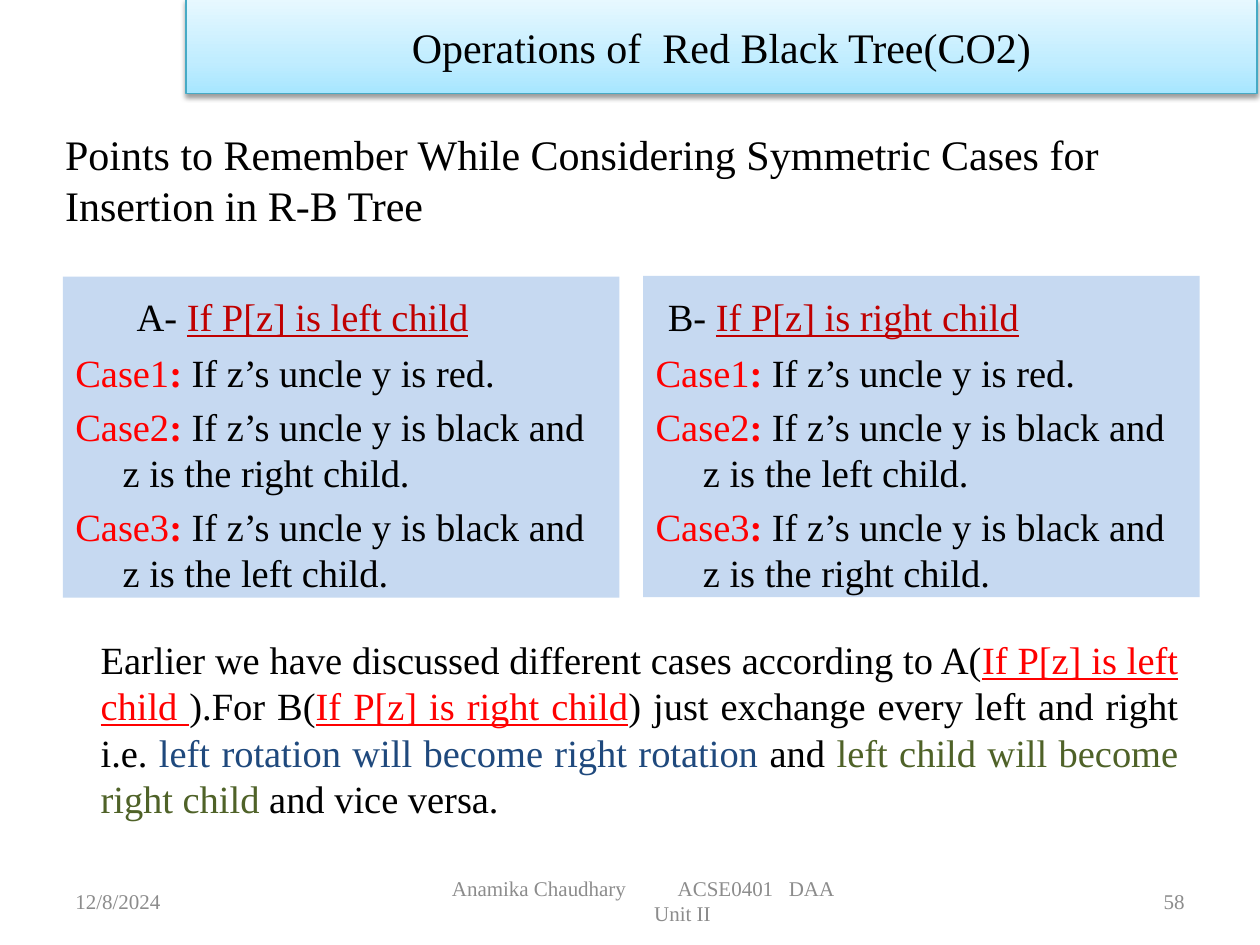
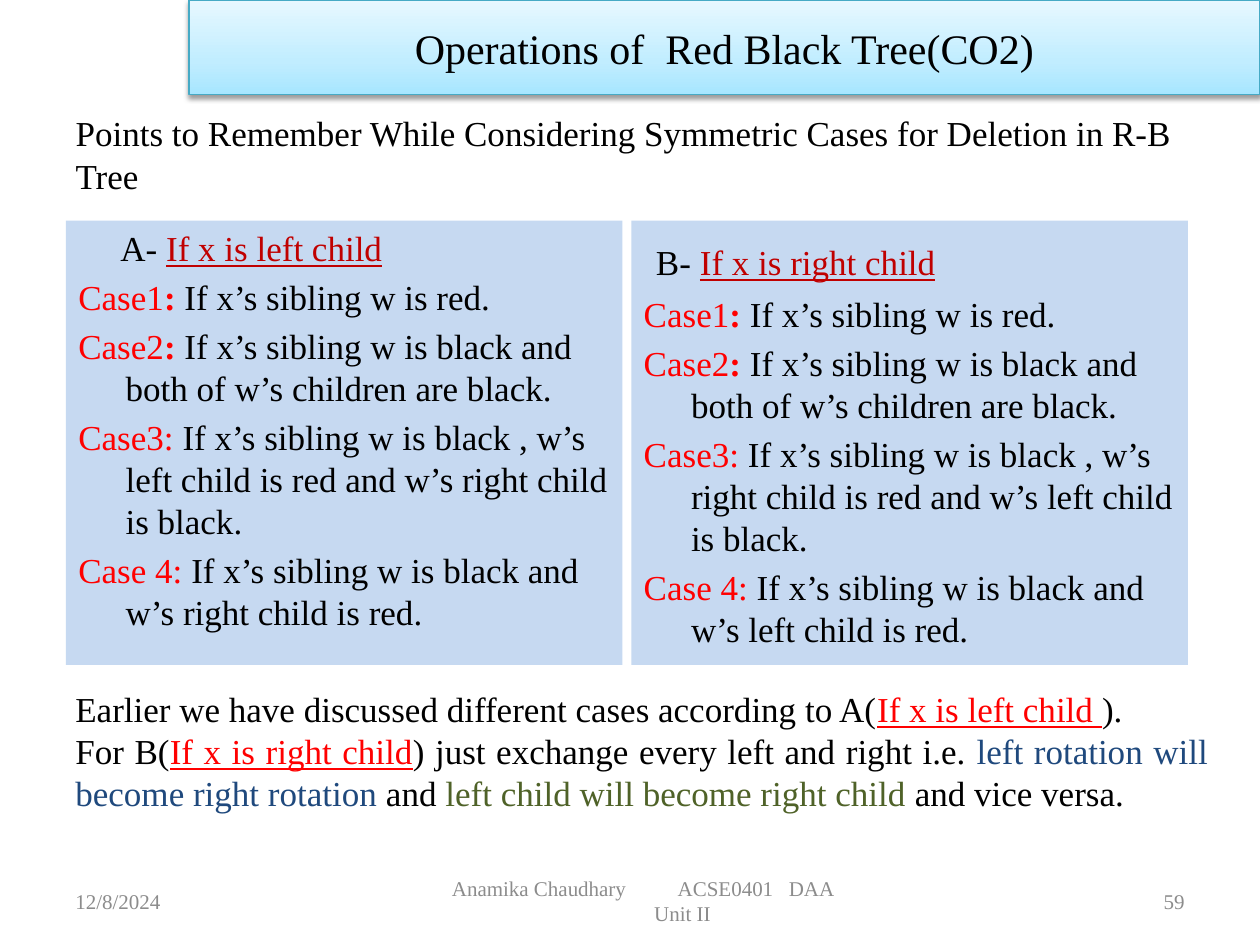
"""Build two slides on the symmetric cases of red-black tree operations."""
from dataclasses import dataclass
from typing import NamedTuple

from pptx import Presentation
from pptx.dml.color import RGBColor
from pptx.enum.shapes import MSO_SHAPE
from pptx.enum.text import MSO_ANCHOR, MSO_AUTO_SIZE, PP_ALIGN
from pptx.oxml import parse_xml
from pptx.oxml.ns import nsdecls, qn
from pptx.util import Pt


@dataclass(frozen=True)
class Theme:
    font: str = "Times New Roman"
    text: str = "000000"
    panel: str = "C6D9F1"
    heading: str = "C00000"
    accent: str = "FF0000"
    rotation: str = "1F497D"
    child: str = "4F6228"
    footer: str = "8C8C8C"
    band_line: str = "46AAC5"
    band_stops: tuple = ((0, "A7E6FF"), (35, "C1EDFF"), (100, "E7F8FF"))
    band_size: float = 24
    footer_size: float = 12
    inset: float = 7.2
    hanging: float = 27


THEME = Theme()


class Box(NamedTuple):
    left: float
    top: float
    width: float
    height: float


class Span(NamedTuple):
    text: str
    color: str = THEME.text
    bold: bool = False
    underline: bool = False


class Case(NamedTuple):
    label: str
    colon_bold: bool
    text: str


class Panel(NamedTuple):
    box: Box
    letter: str
    condition: str
    heading_indent: float
    heading_drop: float
    cases: list[Case]


class CaseSlide(NamedTuple):
    number: int
    title: str
    title_box: Box
    title_size: float
    band_box: Box
    body_size: float
    panels: list[Panel]
    closing_box: Box
    closing: list[list[Span]]


def prepare_frame(shape, anchor=MSO_ANCHOR.TOP, inset=THEME.inset):
    """Return the shape's text frame with wrapping, anchor and margins set."""
    frame = shape.text_frame
    frame.word_wrap = True
    frame.auto_size = MSO_AUTO_SIZE.NONE
    frame.vertical_anchor = anchor
    frame.margin_left = frame.margin_right = Pt(inset)
    frame.margin_top = frame.margin_bottom = Pt(THEME.inset / 2)
    return frame


def format_run(run, size: float, span: Span) -> None:
    """Apply the theme font and the look of a span to a run."""
    run.font.name = THEME.font
    run.font.size = Pt(size)
    run.font.color.rgb = RGBColor.from_string(span.color)
    run.font.bold = span.bold
    run.font.underline = span.underline


def fill_paragraph(paragraph, spans: list[Span], size: float, align=PP_ALIGN.LEFT) -> None:
    """Write the spans into a paragraph as formatted runs."""
    paragraph.alignment = align
    for span in spans:
        run = paragraph.add_run()
        run.text = span.text
        format_run(run, size, span)


def nth_paragraph(frame, index: int):
    """Return the first paragraph of a frame, or a new one after it."""
    return frame.add_paragraph() if index else frame.paragraphs[0]


def add_text(slide, box: Box, paragraphs: list[list[Span]], size: float,
             align=PP_ALIGN.LEFT, anchor=MSO_ANCHOR.TOP, inset=THEME.inset):
    """Add a text box and return its frame."""
    frame = prepare_frame(slide.shapes.add_textbox(*map(Pt, box)), anchor, inset)
    for index, spans in enumerate(paragraphs):
        fill_paragraph(nth_paragraph(frame, index), spans, size, align)
    return frame


def set_title(slide, content: CaseSlide) -> None:
    """Place and format the title placeholder."""
    title = slide.shapes.title
    title.left, title.top, title.width, title.height = map(Pt, content.title_box)
    frame = prepare_frame(title, MSO_ANCHOR.MIDDLE)
    fill_paragraph(frame.paragraphs[0], [Span(content.title)], content.title_size)


def add_rectangle(slide, box: Box):
    """Add a rectangle without a shadow."""
    shape = slide.shapes.add_shape(MSO_SHAPE.RECTANGLE, *map(Pt, box))
    shape.shadow.inherit = False
    return shape


def add_panel(slide, panel: Panel, size: float) -> None:
    """Add a filled panel with its heading and hanging cases."""
    shape = add_rectangle(slide, panel.box)
    shape.fill.solid()
    shape.fill.fore_color.rgb = RGBColor.from_string(THEME.panel)
    shape.line.fill.background()
    frame = prepare_frame(shape)
    frame.margin_top = Pt(THEME.inset / 2 + panel.heading_drop)
    heading = frame.paragraphs[0]
    heading._p.get_or_add_pPr().set("marL", str(Pt(panel.heading_indent)))
    heading.space_after = Pt(panel.heading_drop / 5)
    fill_paragraph(heading, [Span(f"{panel.letter}- "),
                             Span(panel.condition, THEME.heading, underline=True)], size)
    for case in panel.cases:
        paragraph = frame.add_paragraph()
        properties = paragraph._p.get_or_add_pPr()
        properties.set("marL", str(Pt(THEME.hanging)))
        properties.set("indent", str(-Pt(THEME.hanging)))
        paragraph.space_before = Pt(size / 5)
        fill_paragraph(paragraph, [Span(case.label, THEME.accent),
                                   Span(": ", THEME.accent, bold=case.colon_bold),
                                   Span(case.text)], size)


def add_band(slide, box: Box) -> None:
    """Add the gradient band with the topic name."""
    band = add_rectangle(slide, box)
    band.line.color.rgb = RGBColor.from_string(THEME.band_line)
    band.line.width = Pt(0.75)
    stops = "".join(f'<a:gs pos="{position * 1000}"><a:srgbClr val="{color}"/></a:gs>'
                    for position, color in THEME.band_stops)
    properties = band._element.spPr
    properties.find(qn("a:prstGeom")).addnext(parse_xml(
        f'<a:gradFill {nsdecls("a")} rotWithShape="1"><a:gsLst>{stops}</a:gsLst>'
        '<a:lin ang="16200000" scaled="0"/></a:gradFill>'))
    properties.find(qn("a:effectLst")).append(parse_xml(
        f'<a:outerShdw {nsdecls("a")} blurRad="{Pt(3.1)}" dist="{Pt(1.6)}" dir="5400000" '
        'rotWithShape="0"><a:srgbClr val="000000"><a:alpha val="38000"/></a:srgbClr>'
        '</a:outerShdw>'))
    frame = prepare_frame(band, MSO_ANCHOR.MIDDLE)
    fill_paragraph(frame.paragraphs[0], [Span("Operations of  Red Black Tree(CO2)")],
                   THEME.band_size, PP_ALIGN.CENTER)


def add_footer(slide, number: int) -> None:
    """Add the date, the slide number and the course line."""
    size, middle = THEME.footer_size, MSO_ANCHOR.MIDDLE
    for left, text, align in ((36, "12/8/2024", PP_ALIGN.LEFT),
                              (516, str(number), PP_ALIGN.RIGHT)):
        add_text(slide, Box(left, 500.5, 168, 28.75), [[Span(text, THEME.footer)]],
                 size, align, middle)
    course = add_text(slide, Box(258.3, 500.5, 263.4, 28.75),
                      [[Span("Anamika Chaudhary\tACSE0401\tDAA", THEME.footer)],
                       [Span("Unit II", THEME.footer)]], size, anchor=middle, inset=0)
    tabs = "".join(f'<a:tab pos="{Pt(position)}" algn="l"/>' for position in (129, 192.5))
    course.paragraphs[0]._p.get_or_add_pPr().append(
        parse_xml(f'<a:tabLst {nsdecls("a")}>{tabs}</a:tabLst>'))
    course.paragraphs[1].alignment = PP_ALIGN.CENTER


def insertion_cases(side: str, other: str) -> list[Case]:
    """Return the insertion cases for a parent on the given side."""
    texts = ["If z’s uncle y is red."] + [
        f"If z’s uncle y is black and z is the {child} child." for child in (other, side)]
    return [Case(f"Case{index}", True, text) for index, text in enumerate(texts, 1)]


def deletion_cases(side: str, other: str) -> list[Case]:
    """Return the deletion cases for a node on the given side."""
    sibling = "If x’s sibling w is"
    return [
        Case("Case1", True, f"{sibling} red."),
        Case("Case2", True, f"{sibling} black and both of w’s children are black."),
        Case("Case3", False, f"{sibling} black , w’s {side} child is red "
                             f"and w’s {other} child is black."),
        Case("Case 4", False, f"{sibling} black and w’s {other} child is red."),
    ]


def closing_spans(node: str) -> tuple[list[Span], list[Span]]:
    """Return the two sentences that close a slide."""
    first = [Span("Earlier we have discussed different cases according to A("),
             Span(f"If {node} is left child ", THEME.accent, underline=True), Span(").")]
    second = [Span("For B("),
              Span(f"If {node} is right child", THEME.accent, underline=True),
              Span(") just exchange every left and right i.e. "),
              Span("left rotation will become right rotation", THEME.rotation),
              Span(" and "), Span("left child will become right child", THEME.child),
              Span(" and vice versa.")]
    return first, second


def case_slides() -> list[CaseSlide]:
    """Return the content of both slides."""
    title = "Points to Remember While Considering Symmetric Cases for {} in R-B Tree"
    insertion_first, insertion_second = closing_spans("P[z]")
    return [
        CaseSlide(
            58, title.format("Insertion"), Box(30, 65.5, 648, 74), 24,
            Box(106.3, -0.5, 612, 54), 22,
            [Panel(Box(36, 158, 318, 183.5), "A", "If P[z] is left child", 35, 6,
                   insertion_cases("left", "right")),
             Panel(Box(367.6, 157.7, 318, 183.5), "B", "If P[z] is right child", 7, 6,
                   insertion_cases("right", "left"))],
            Box(50.4, 360, 630, 113.5), [insertion_first + insertion_second]),
        CaseSlide(
            59, title.format("Deletion"), Box(36, 55, 648, 66), 20,
            Box(108, 0, 612, 54), 20,
            [Panel(Box(37.7, 126, 318, 254), "A", "If x is left child", 24, 0,
                   deletion_cases("left", "right")),
             Panel(Box(360.8, 126, 318, 254), "B", "If x is right child", 7, 8,
                   deletion_cases("right", "left"))],
            Box(36, 389.5, 661.5, 80), list(closing_spans("x"))),
    ]


def build_slide(presentation, content: CaseSlide) -> None:
    """Add one slide with its title, panels, closing text, footer and band."""
    slide = presentation.slides.add_slide(presentation.slide_layouts[5])
    set_title(slide, content)
    for panel in content.panels:
        add_panel(slide, panel, content.body_size)
    add_text(slide, content.closing_box, content.closing, content.body_size, PP_ALIGN.JUSTIFY)
    add_footer(slide, content.number)
    add_band(slide, content.band_box)


def main() -> None:
    """Build and save the presentation."""
    presentation = Presentation()
    presentation.slide_width, presentation.slide_height = Pt(720), Pt(540)
    for content in case_slides():
        build_slide(presentation, content)
    presentation.save("out.pptx")


if __name__ == "__main__":
    main()
